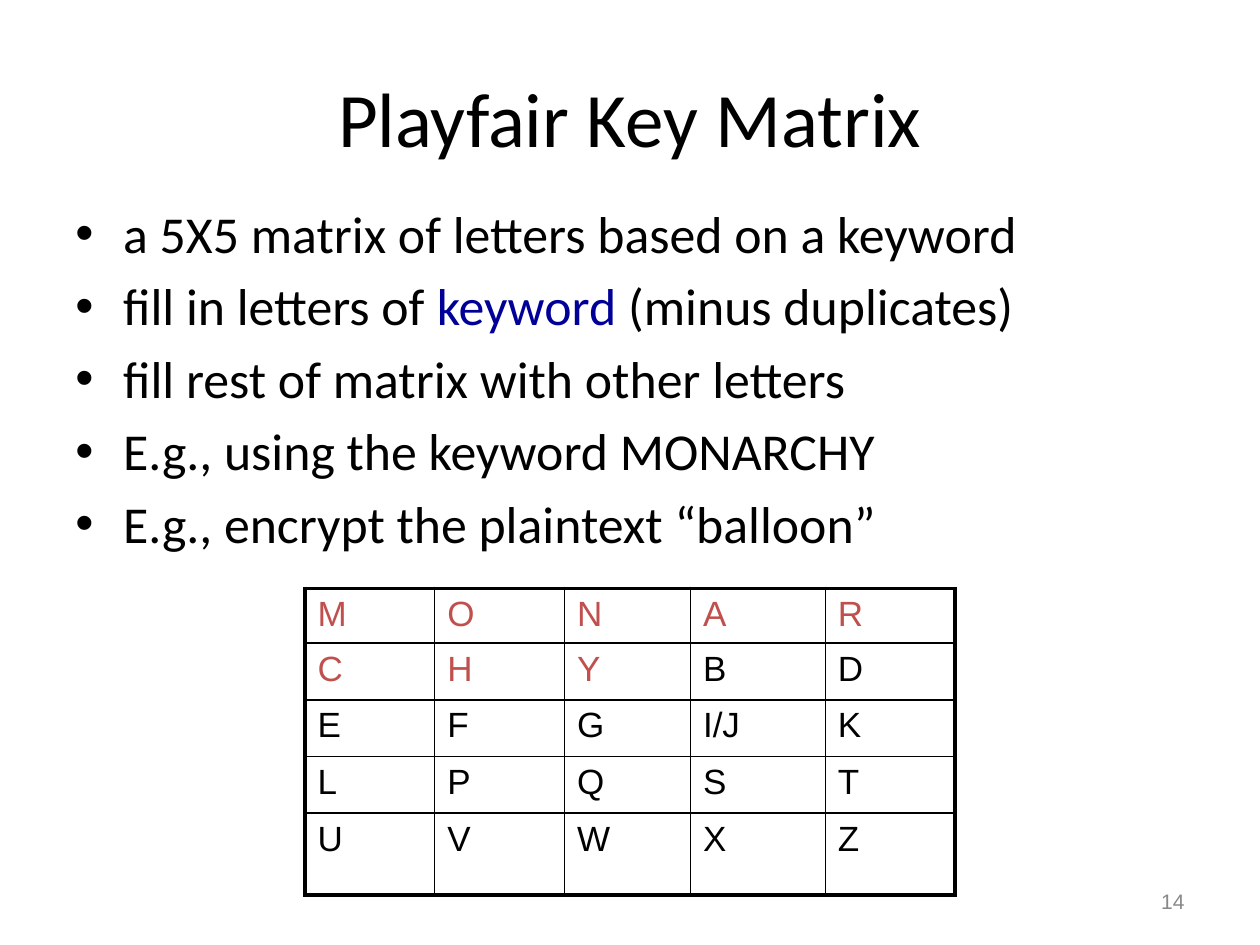
from dataclasses import dataclass

from lxml import etree
from pptx import Presentation
from pptx import util as u
from pptx.dml.color import RGBColor
from pptx.enum import text
from pptx.oxml import ns

BLACK = RGBColor(0x00, 0x00, 0x00)
NAVY = RGBColor(0x00, 0x00, 0x99)
RED = RGBColor(0xC0, 0x50, 0x4D)
GREY = RGBColor(0x89, 0x89, 0x89)

SLIDE_WIDTH, SLIDE_HEIGHT = u.Inches(10), u.Inches(7.5)
GRID_COLUMNS, GRID_ROWS = 100, 150

KEYWORD = "MONARCHY"
ALPHABET = [*"ABCDEFGH", "I/J", *"KLMNOPQRSTUVWXYZ"]
MATRIX_COLUMNS = [10.3, 10.3, 10, 10.7, 10.3]
MATRIX_ROWS = [8.6, 9, 9, 9, 13]
INNER_LINE, OUTER_LINE = 1, 2.25


@dataclass(frozen=True)
class Box:
    """A place on the slide, in grid columns and rows."""
    left: float
    top: float
    width: float
    height: float

    def lengths(self) -> tuple:
        return across(self.left), down(self.top), across(self.width), down(self.height)


@dataclass(frozen=True)
class Style:
    size: float
    font: str
    color: RGBColor = BLACK
    align: text.PP_ALIGN = text.PP_ALIGN.LEFT
    anchor: text.MSO_ANCHOR = text.MSO_ANCHOR.TOP
    space_before: float = 0
    bullet: bool = False


@dataclass(frozen=True)
class Span:
    words: str
    color: RGBColor | None = None


TITLE = Style(44, "Calibri", align=text.PP_ALIGN.CENTER, anchor=text.MSO_ANCHOR.MIDDLE)
BODY = Style(29.6, "Calibri", space_before=5.92, bullet=True)
LETTER = Style(20, "Arial", space_before=4)
NUMBER = Style(12, "Arial", GREY, text.PP_ALIGN.RIGHT, text.MSO_ANCHOR.MIDDLE)

POINTS = [
    [Span("a 5X5 matrix of letters based on a keyword")],
    [Span("fill in letters of "), Span("keyword", NAVY), Span(" (minus duplicates)")],
    [Span("fill rest of matrix with other letters")],
    [Span("E.g., using the keyword MONARCHY")],
    [Span("E.g., encrypt the plaintext “balloon”")],
]


def across(columns: float) -> int:
    return round(SLIDE_WIDTH * columns / GRID_COLUMNS)


def down(rows: float) -> int:
    return round(SLIDE_HEIGHT * rows / GRID_ROWS)


def add_bullet(paragraph) -> None:
    properties = paragraph._p.get_or_add_pPr()
    indent = u.Inches(0.38)
    properties.set("marL", str(indent))
    properties.set("indent", str(-indent))
    etree.SubElement(properties, ns.qn("a:buFont"), typeface="Arial")
    etree.SubElement(properties, ns.qn("a:buChar"), char="•")


def write(frame, lines: list[list[Span]], style: Style) -> None:
    for index, spans in enumerate(lines):
        paragraph = frame.add_paragraph() if index else frame.paragraphs[0]
        paragraph.alignment = style.align
        paragraph.space_before = u.Pt(style.space_before)
        if style.bullet:
            add_bullet(paragraph)
        for span in spans:
            run = paragraph.add_run()
            run.text = span.words
            run.font.size = u.Pt(style.size)
            run.font.name = style.font
            run.font.bold = False
            run.font.color.rgb = span.color or style.color


def add_text(slide, box: Box, lines: list[list[Span]], style: Style) -> None:
    frame = slide.shapes.add_textbox(*box.lengths()).text_frame
    frame.word_wrap = True
    frame.vertical_anchor = style.anchor
    write(frame, lines, style)


def add_border(cell, side: str, width: float) -> None:
    properties = cell._tc.get_or_add_tcPr()
    line = etree.SubElement(properties, ns.qn(f"a:ln{side}"), w=str(u.Pt(width)))
    fill = etree.SubElement(line, ns.qn("a:solidFill"))
    etree.SubElement(fill, ns.qn("a:srgbClr"), val=str(BLACK))


def add_key_matrix(slide, box: Box) -> None:
    """Fill the grid with the keyword's letters, then the unused ones."""
    letters = list(dict.fromkeys([*KEYWORD, *ALPHABET]))
    row_count, column_count = len(MATRIX_ROWS), len(MATRIX_COLUMNS)
    table = slide.shapes.add_table(row_count, column_count, *box.lengths()).table
    table.first_row = table.horz_banding = False
    for column, width in zip(table.columns, MATRIX_COLUMNS):
        column.width = across(width)
    for row, height in zip(table.rows, MATRIX_ROWS):
        row.height = down(height)
    for index, letter in enumerate(letters):
        row, column = divmod(index, column_count)
        cell = table.cell(row, column)
        color = RED if letter in KEYWORD else BLACK
        write(cell.text_frame, [[Span(letter, color)]], LETTER)
        outer_sides = {
            "L": column == 0,
            "R": column == column_count - 1,
            "T": row == 0,
            "B": row == row_count - 1,
        }
        for side, is_outer in outer_sides.items():
            add_border(cell, side, OUTER_LINE if is_outer else INNER_LINE)
        cell.fill.background()


def main() -> None:
    presentation = Presentation()
    presentation.slide_width, presentation.slide_height = SLIDE_WIDTH, SLIDE_HEIGHT
    slide = presentation.slides.add_slide(presentation.slide_layouts[6])
    add_text(slide, Box(5, 6, 90, 25), [[Span("Playfair Key Matrix")]], TITLE)
    add_text(slide, Box(5, 31, 90, 58.4), POINTS, BODY)
    add_key_matrix(slide, Box(24.2, 93.4, sum(MATRIX_COLUMNS), sum(MATRIX_ROWS)))
    add_text(slide, Box(71.7, 139, 23.3, 8), [[Span("14")]], NUMBER)
    presentation.save("out.pptx")


if __name__ == "__main__":
    main()
